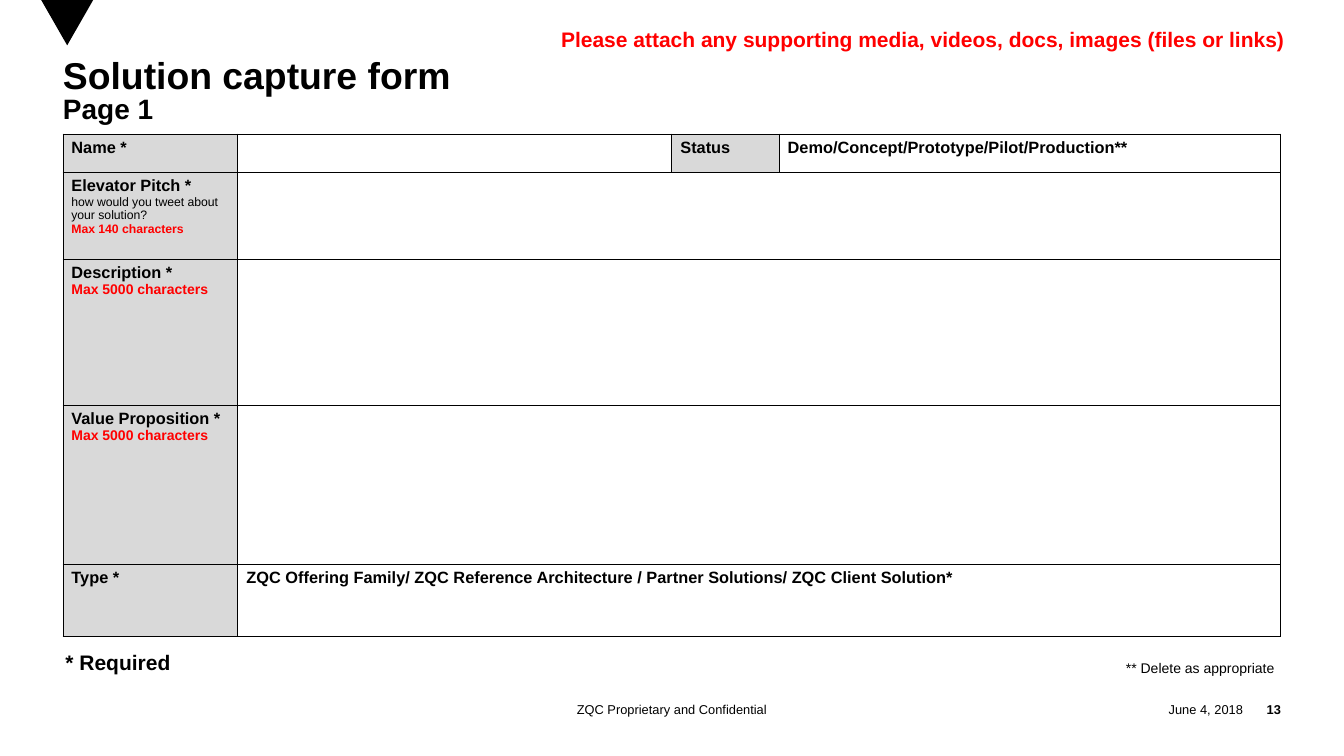
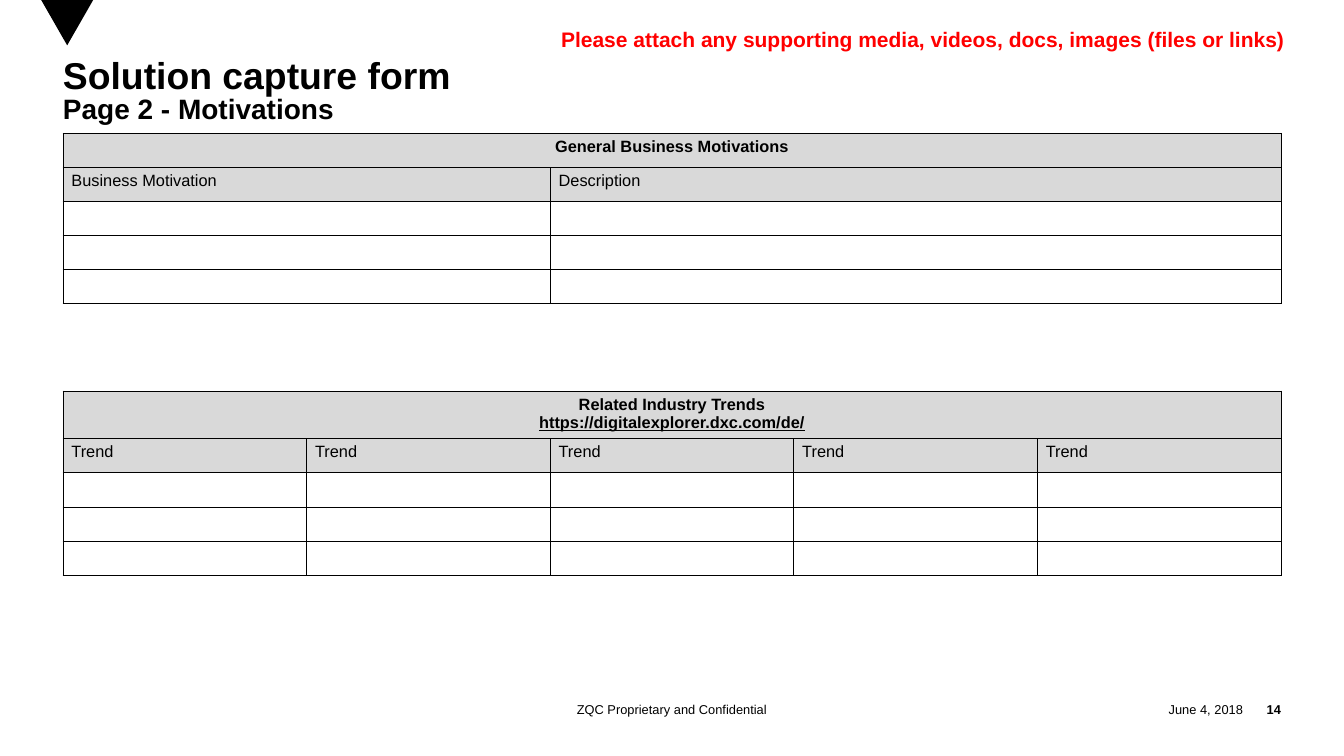
"""Build the two-page solution capture form."""
import pptx
import pptx.util
import pptx.dml.color
import pptx.enum.shapes
import pptx.enum.text
import pptx.oxml
import pptx.oxml.ns

Pt = pptx.util.Pt
ALIGN = pptx.enum.text.PP_ALIGN
MIDDLE = pptx.enum.text.MSO_ANCHOR.MIDDLE
FONT = "Arial"
COLORS = {"text": "000000", "alert": "FF0000", "label": "D9D9D9", "blank": "FFFFFF"}
LEFT, WIDTH = 54, 1044

STYLES = {
    "title": dict(size=32, bold=True),
    "subtitle": dict(size=24, bold=True),
    "note": dict(size=18, bold=True),
    "alert_note": dict(size=18, bold=True, color="alert"),
    "small_note": dict(size=12),
    "footer": dict(size=11),
    "number": dict(size=11, bold=True),
    "head": dict(size=14, bold=True),
    "link": dict(size=14, bold=True, underline=True),
    "plain": dict(size=14),
    "hint": dict(size=10.5),
    "limit_small": dict(size=10.5, bold=True, color="alert"),
    "limit": dict(size=12, bold=True, color="alert"),
}

ATTACH = "Please attach any supporting media, videos, docs, images (files or links)"
FOOTERS = [
    ("ZQC Proprietary and Confidential", 378, 396, ALIGN.CENTER),
    ("June 4, 2018", 936.5, 129, ALIGN.RIGHT),
]

LIMIT = ("Max 5000 characters", "limit")
FORM = dict(
    top=115, cols=[150, 372, 92, 430], rows=[33, 74.5, 125, 136, 62],
    merges=[(row, 1, 3) for row in range(1, 5)],
    labels=[(row, 0) for row in range(5)] + [(0, 2)],
    cells={
        (0, 0): [("Name *", "head")],
        (0, 2): [("Status", "head")],
        (0, 3): [("Demo/Concept/Prototype/Pilot/Production**", "head")],
        (1, 0): [("Elevator Pitch *", "head"),
                 ("how would you tweet about your solution?", "hint"),
                 ("Max 140 characters", "limit_small")],
        (2, 0): [("Description *", "head"), LIMIT],
        (3, 0): [("Value Proposition *", "head"), LIMIT],
        (4, 0): [("Type *", "head")],
        (4, 1): [("ZQC Offering Family/ ZQC Reference Architecture / "
                  "Partner Solutions/ ZQC Client Solution*", "head")],
    })


def listing(top, heading, columns, widths, first_row=29.2):
    """Describe a table with a merged heading, column names and three blank rows."""
    n = len(columns)
    cells = {(1, i): [(name, "plain")] for i, name in enumerate(columns)}
    cells[0, 0] = heading
    return dict(top=top, cols=widths, rows=[first_row] + [29.2] * 4,
                merges=[(0, 0, n - 1)], centered=(0, 0), cells=cells,
                labels=[(row, col) for row in range(2) for col in range(n)])


MOTIVATIONS = listing(114.4, [("General Business Motivations", "head")],
                      ["Business Motivation", "Description"], [417.6, 626.4])
TRENDS = listing(335.2, [("Related Industry Trends", "head"),
                         ("https://digitalexplorer.dxc.com/de/", "link")],
                 ["Trend"] * 5, [WIDTH / 5] * 5, 41)

SLIDES = [
    dict(number="13", subtitle="Page 1", tables=[FORM],
         notes=[("* Required", "note", 49, 553.5, 105, 29),
                ("** Delete as appropriate", "small_note", 958, 561.5, 156, 22)]),
    dict(number="14", subtitle="Page 2 - Motivations",
         tables=[MOTIVATIONS, TRENDS], notes=[]),
]


def rgb(name):
    """Look up a colour by name."""
    return pptx.dml.color.RGBColor.from_string(COLORS[name])


def write(tf, lines, align=None, spacing=None):
    """Write one styled paragraph per line."""
    for i, (text, style) in enumerate(lines):
        p = tf.add_paragraph() if i else tf.paragraphs[0]
        p.text = text
        if align is not None:
            p.alignment = align
        if spacing:
            p.line_spacing = spacing
        look = STYLES[style]
        font = p.font
        font.name, font.size = FONT, Pt(look["size"])
        font.bold = look.get("bold", False)
        if look.get("underline"):
            font.underline = True
        font.color.rgb = rgb(look.get("color", "text"))


def add_text(s, lines, box, inset=False, wrap=True, anchor=None, **kwargs):
    """Add a text box."""
    tf = s.shapes.add_textbox(*map(Pt, box)).text_frame
    tf.word_wrap = wrap
    if anchor is not None:
        tf.vertical_anchor = anchor
    if not inset:
        tf.margin_left = tf.margin_right = tf.margin_top = tf.margin_bottom = 0
    write(tf, lines, **kwargs)


def add_note(s, text, style, *box):
    """Add a single-line note with the usual insets."""
    add_text(s, [(text, style)], box, inset=True, wrap=False)


def add_borders(cell):
    """Outline a cell on all four sides."""
    props = cell._tc.get_or_add_tcPr()
    for i, side in enumerate("LRTB"):
        props.insert(i, pptx.oxml.parse_xml(
            f'<a:ln{side} {pptx.oxml.ns.nsdecls("a")} w="{Pt(1)}"><a:solidFill>'
            f'<a:srgbClr val="{COLORS["text"]}"/></a:solidFill></a:ln{side}>'))


def add_grid(s, spec_table):
    """Add a bordered table from its description."""
    cols, rows = spec_table["cols"], spec_table["rows"]
    table = s.shapes.add_table(len(rows), len(cols), Pt(LEFT), Pt(spec_table["top"]),
                               Pt(WIDTH), Pt(sum(rows))).table
    table.first_row = table.horz_banding = False
    for column, width in zip(table.columns, cols):
        column.width = Pt(width)
    for row, height in zip(table.rows, rows):
        row.height = Pt(height)
    for row, first, last in spec_table["merges"]:
        table.cell(row, first).merge(table.cell(row, last))
    for row in range(len(rows)):
        for col in range(len(cols)):
            key, cell = (row, col), table.cell(row, col)
            cell.fill.solid()
            cell.fill.fore_color.rgb = rgb("label" if key in spec_table["labels"] else "blank")
            add_borders(cell)
            align = ALIGN.CENTER if key == spec_table.get("centered") else None
            write(cell.text_frame, spec_table["cells"].get(key, []), align)


def add_frame(s, subtitle, number):
    """Add the marker, title, note and footers that every slide shares."""
    marker = s.shapes.add_shape(pptx.enum.shapes.MSO_SHAPE.FLOWCHART_MERGE,
                                Pt(35.3), 0, Pt(44.6), Pt(38.9))
    marker.shadow.inherit = False
    marker.fill.solid()
    marker.fill.fore_color.rgb = rgb("text")
    marker.line.fill.background()
    for text, left, width, align in FOOTERS:
        add_text(s, [(text, "footer")], (left, 597, width, 21.6), anchor=MIDDLE, align=align)
    add_text(s, [(number, "number")], (1065.6, 597, 32.4, 21.6),
             anchor=MIDDLE, align=ALIGN.RIGHT)
    add_text(s, [("Solution capture form", "title"), (subtitle, "subtitle")],
             (LEFT, 50.4, WIDTH, 111.6), spacing=0.85)
    add_note(s, ATTACH, "alert_note", 473.8, 19.4, 641, 29)


def main():
    """Build and save the deck."""
    prs = pptx.Presentation()
    prs.slide_width, prs.slide_height = Pt(1152), Pt(648)
    for content in SLIDES:
        s = prs.slides.add_slide(prs.slide_layouts[6])
        add_frame(s, content["subtitle"], content["number"])
        for table in content["tables"]:
            add_grid(s, table)
        for note in content["notes"]:
            add_note(s, *note)
    prs.save("out.pptx")


if __name__ == "__main__":
    main()
